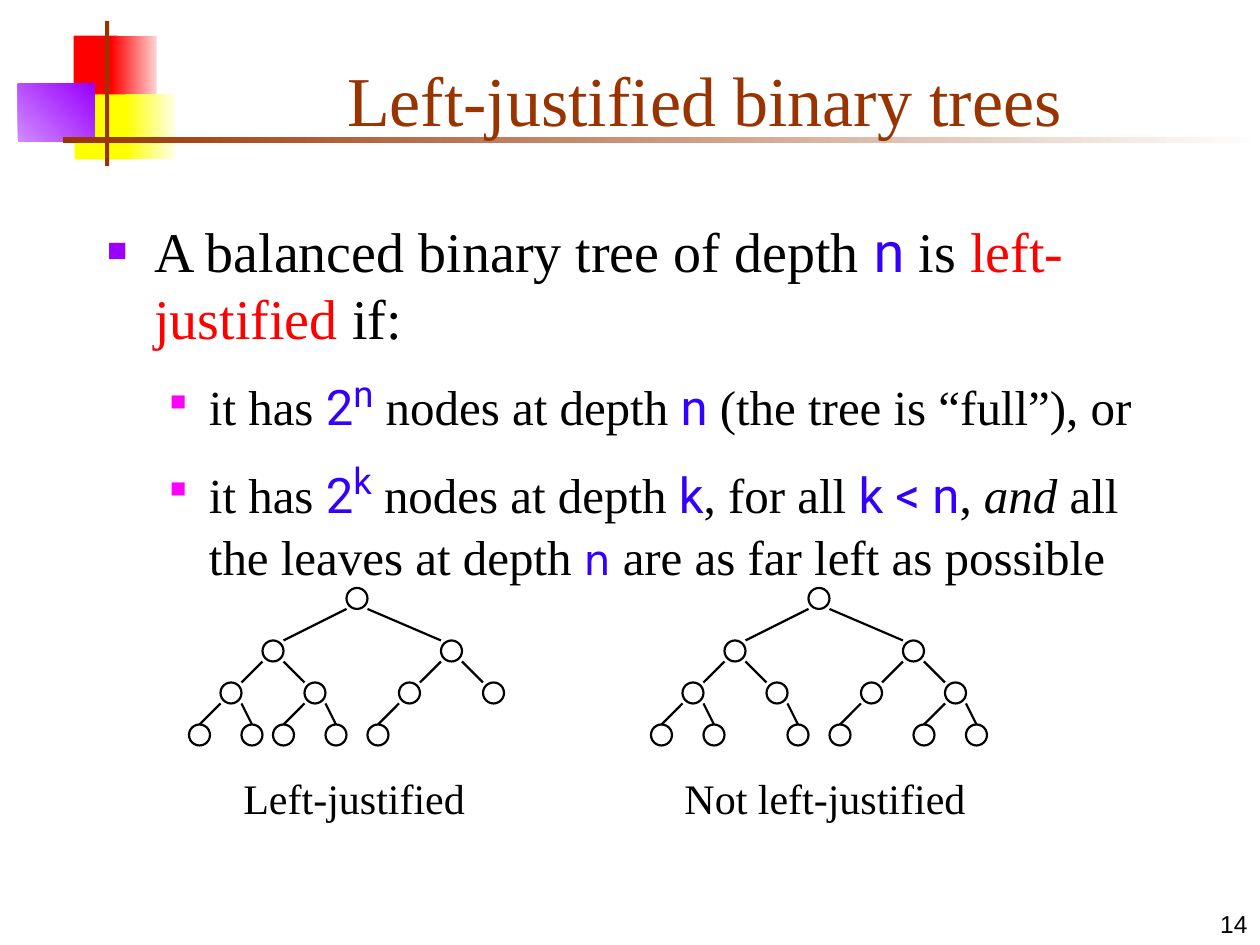
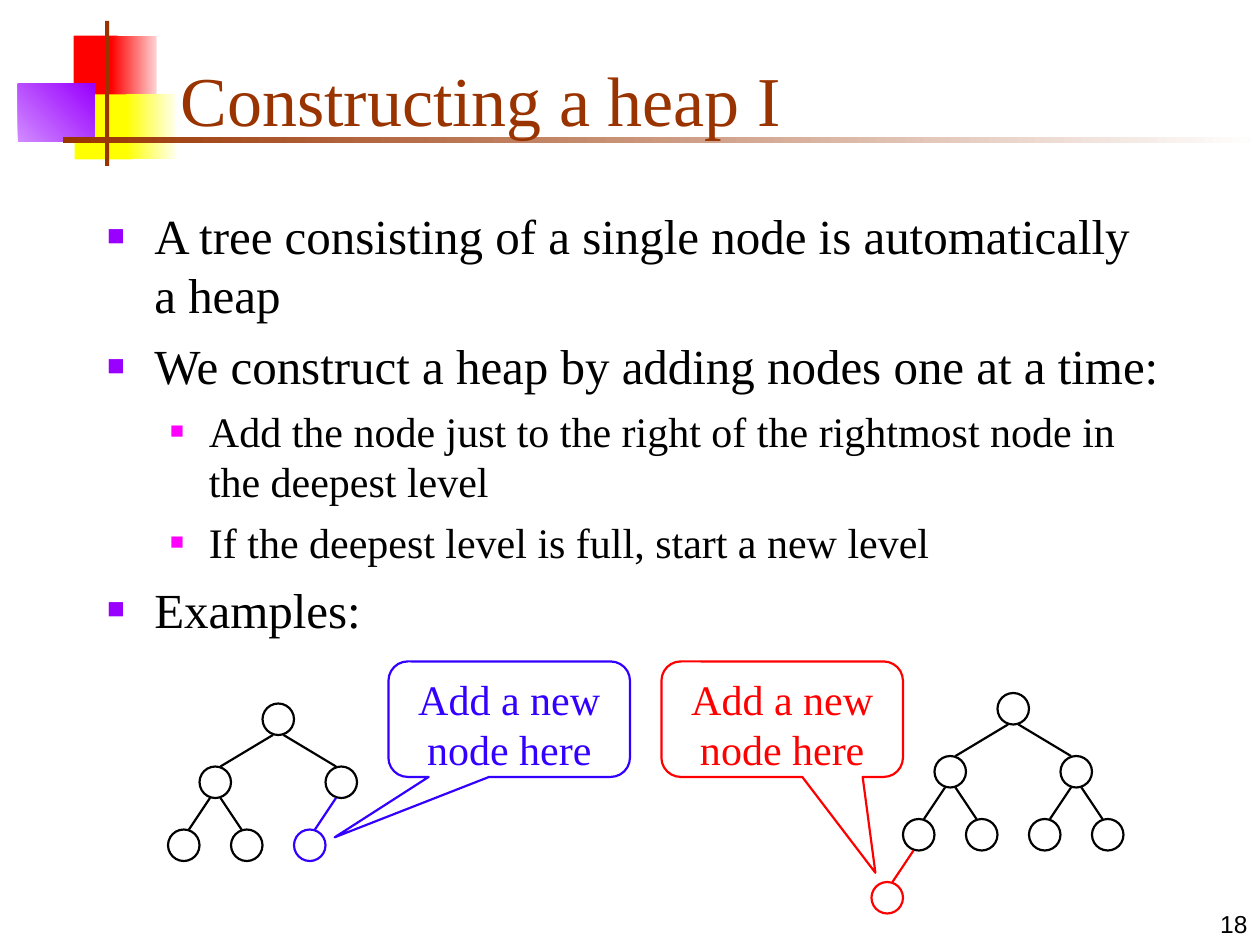
from lxml import etree
from pptx import Presentation
from pptx.dml.color import RGBColor
from pptx.enum.shapes import MSO_CONNECTOR, MSO_SHAPE
from pptx.enum.text import MSO_ANCHOR, MSO_AUTO_SIZE, PP_ALIGN
from pptx.oxml.ns import qn
from pptx.util import Pt

RECTANGLE = MSO_SHAPE.RECTANGLE
ELLIPSE = MSO_SHAPE.OVAL
CALLOUT = MSO_SHAPE.ROUNDED_RECTANGULAR_CALLOUT
STRAIGHT = MSO_CONNECTOR.STRAIGHT
LEFT, CENTER, RIGHT = PP_ALIGN.LEFT, PP_ALIGN.CENTER, PP_ALIGN.RIGHT
TOP, BOTTOM = MSO_ANCHOR.TOP, MSO_ANCHOR.BOTTOM
NO_AUTOFIT = MSO_AUTO_SIZE.NONE

EMU_PER_PX = 7620
SERIF = "Times New Roman"
BLACK, BROWN, BLUE, RED = "000000", "993300", "3300FF", "FF0000"
PURPLE, MAGENTA, YELLOW = "9900FF", "FF00FF", "FFFF00"
LINE_WIDTH = 1.25

CODE = {"font": "Roboto", "color": BLUE}
POWER = {**CODE, "size": 36, "baseline": 30000}

BULLETS = [
    {"color": PURPLE, "percent": 60, "margin": 45, "hanging": 45},
    {"color": MAGENTA, "percent": 55, "margin": 97, "hanging": 37},
]

DECORATIONS = [
    ((70, 34, 42, 62), [RED], 0),
    ((106, 34, 43, 62), [RED, "FFD1D1"], 0),
    ((71, 90, 55, 62), [YELLOW], 0),
    ((120, 90, 48, 62), [YELLOW, "FFFFF0"], 0),
    ((17, 80, 73, 55), ["D18BFF", PURPLE], 45),
    ((100, 20, 4, 138), [BROWN], 0),
    ((60, 130, 1140, 6), [BROWN, "FFFFFF"], 0),
]

# Each level holds the left step, right step, drop, parent inset and child inset.
SMALL_TREE = {"size": 20, "levels": [(-80, 90, 50, 0, 0), (-40, 40, 40, 0, 0), (-30, 20, 40, 0, 10)]}
LARGE_TREE = {"size": 30, "levels": [(-60, 60, 60, 10, 10), (-30, 30, 60, 10, 10), (-30, 30, 60, 10, 10)]}
LARGE_TREE["levels"] = [(left, right, drop, inset, inset) for left, right, drop, inset, _ in LARGE_TREE["levels"]]
TWO_FULL_LEVELS = ["", "L", "R", "LL", "LR", "RL", "RR"]


def px(*lengths):
    """Turn px lengths into EMU."""
    return [length * EMU_PER_PX for length in lengths]


def rgb(color):
    """Turn a hex string into a colour."""
    return RGBColor.from_string(color)


def add_text(paragraph, text, size=24, font=SERIF, color=BLACK, italic=False, baseline=None):
    """Add one formatted run to a paragraph."""
    run = paragraph.add_run()
    run.text = text
    run.font.size = Pt(size)
    run.font.name = font
    run.font.italic = italic
    run.font.color.rgb = rgb(color)
    if baseline:
        run.font._element.set("baseline", str(baseline))


def fill_frame(shape, text, align=LEFT, anchor=TOP, **text_format):
    """Write a single paragraph into a shape."""
    frame = shape.text_frame
    frame.word_wrap = True
    frame.auto_size = NO_AUTOFIT
    frame.vertical_anchor = anchor
    paragraph = frame.paragraphs[0]
    paragraph.alignment = align
    add_text(paragraph, text, **text_format)


def add_text_box(shapes, box, text, **text_format):
    """Add a text box with one paragraph."""
    fill_frame(shapes.add_textbox(*px(*box)), text, **text_format)


def place(shape, box):
    """Move and size a placeholder."""
    shape.left, shape.top, shape.width, shape.height = px(*box)


def add_outline(shapes, kind, box, color):
    """Add an unfilled preset shape."""
    shape = shapes.add_shape(kind, *px(*box))
    shape.shadow.inherit = False
    shape.fill.background()
    shape.line.color.rgb = rgb(color)
    shape.line.width = Pt(LINE_WIDTH)
    return shape


def add_line(shapes, start, end, color):
    """Add a straight line without a shadow."""
    line = shapes.add_connector(STRAIGHT, *px(*start, *end))
    line.line.color.rgb = rgb(color)
    line.line.width = Pt(LINE_WIDTH)
    etree.SubElement(line._element.spPr, qn("a:effectLst"))


def add_callout(shapes, left, adjustments, color):
    """Add a speech bubble that points at a new node."""
    callout = add_outline(shapes, CALLOUT, (left, 630, 230, 110), color)
    for index, value in enumerate(adjustments):
        callout.adjustments[index] = value
    fill_frame(callout, "Add a new node here", align=CENTER, color=color)


def add_tree(shapes, root, paths, style, new_node_color=BLACK, new_node=None):
    """Draw a binary tree whose nodes are named by their L and R turns."""
    size = style["size"]
    for path in paths:
        color = new_node_color if path == new_node else BLACK
        x, y = root
        for turn, (left, right, drop, parent_inset, child_inset) in zip(path, style["levels"]):
            parent_x, parent_y = x, y
            x += left if turn == "L" else right
            y += drop
        add_outline(shapes, ELLIPSE, (x, y, size, size), color)
        if path:
            if path[-1] == "L":
                start_x, end_x = parent_x + parent_inset, x + size - child_inset
            else:
                start_x, end_x = parent_x + size - parent_inset, x + child_inset
            add_line(shapes, (start_x, parent_y + size), (end_x, y), color)


def add_bullet(paragraph, level, space_before):
    """Give a paragraph the square bullet of its level."""
    bullet = BULLETS[level]
    paragraph.level = level
    properties = paragraph._p.get_or_add_pPr()
    margin, hanging = px(bullet["margin"], bullet["hanging"])
    properties.set("marL", str(margin))
    properties.set("indent", str(-hanging))
    color = etree.SubElement(properties, qn("a:buClr"))
    etree.SubElement(color, qn("a:srgbClr"), val=bullet["color"])
    etree.SubElement(properties, qn("a:buSzPct"), val=str(bullet["percent"] * 1000))
    etree.SubElement(properties, qn("a:buChar"), char="■")
    paragraph.space_before = Pt(space_before)


def fill_body(body, box, items):
    """Write items of level, size, space before and runs into the body."""
    place(body, box)
    frame = body.text_frame
    frame.auto_size = NO_AUTOFIT
    for index, (level, size, space_before, runs) in enumerate(items):
        paragraph = frame.add_paragraph() if index else frame.paragraphs[0]
        add_bullet(paragraph, level, space_before if index else 0)
        for text, text_format in runs:
            add_text(paragraph, text, **{"size": size, **text_format})


def decorate_layout(layout, slide):
    """Put the coloured blocks and the title rule behind the layout."""
    for index, (box, colors, angle) in enumerate(DECORATIONS):
        shape = slide.shapes.add_shape(RECTANGLE, *px(*box))
        shape.shadow.inherit = False
        shape.line.fill.background()
        if len(colors) == 1:
            shape.fill.solid()
            shape.fill.fore_color.rgb = rgb(colors[0])
        else:
            shape.fill.gradient()
            shape.fill.gradient_angle = angle
            for stop, color in zip(shape.fill.gradient_stops, colors):
                stop.color.rgb = rgb(color)
        shape.element.nvSpPr.cNvPr.set("id", str(20 + index))
        layout.shapes.element.insert(2 + index, shape.element)


def add_slide(presentation, title, number, align):
    """Add a slide with its title and number."""
    slide = presentation.slides.add_slide(presentation.slide_layouts[1])
    place(slide.shapes.title, (160, 30, 1022, 110))
    fill_frame(slide.shapes.title, title, align=align, anchor=BOTTOM, size=40, color=BROWN)
    add_text_box(slide.shapes, (950, 840, 250, 60), number, align=RIGHT, anchor=BOTTOM, size=14, font="Arial")
    return slide


def build_left_justified(presentation):
    """Build the slide on left-justified trees."""
    slide = add_slide(presentation, "Left-justified binary trees", "14", CENTER)
    fill_body(slide.placeholders[1], (90, 200, 1050, 350), [
        (0, 32, 8, [("A balanced binary tree of depth ", {}), ("n", CODE), (" is ", {}),
                    ("left-justified", {"color": RED}), (" if:", {})]),
        (1, 28, 7, [("it has ", {}), ("2", CODE), ("n", POWER), (" nodes at depth ", {}),
                    ("n", CODE), (" (the tree is “full”), or", {})]),
        (1, 28, 7, [("it has ", {}), ("2", CODE), ("k", POWER), (" nodes at depth ", {}),
                    ("k", CODE), (", for all ", {}), ("k < n", CODE), (", ", {}),
                    ("and", {"italic": True}), (" all the leaves at depth ", {}),
                    ("n", {"size": 24, "font": "DejaVu Sans", "color": BLUE}),
                    (" are as far left as possible", {})]),
    ])
    examples = [
        (330, ["LLL", "LLR", "LRL", "LRR", "RLL"], "Left-justified", (220, 730, 250, 60)),
        (770, ["LLL", "LLR", "LRR", "RLL", "RRL", "RRR"], "Not left-justified", (640, 730, 320, 60)),
    ]
    for root_x, leaves, label, label_box in examples:
        shapes = slide.shapes.add_group_shape().shapes
        add_text_box(shapes, label_box, label)
        add_tree(shapes, (root_x, 560), TWO_FULL_LEVELS + leaves, SMALL_TREE)
    return slide


def build_heap(presentation):
    """Build the slide on adding nodes to a heap."""
    slide = add_slide(presentation, "Constructing a heap I", "18", LEFT)
    items = [
        (0, "A tree consisting of a single node is automatically a heap"),
        (0, "We construct a heap by adding nodes one at a time:"),
        (1, "Add the node just to the right of the rightmost node in the deepest level"),
        (1, "If the deepest level is full, start a new level"),
        (0, "Examples:"),
    ]
    fill_body(slide.placeholders[1], (90, 190, 1030, 460),
              [(level, 28 - 4 * level, 7 - level, [(text, {})]) for level, text in items])
    examples = [
        ((950, 660), TWO_FULL_LEVELS + ["LLL"], "LLL", RED, 630, (0.386, 1.33, 0.167)),
        ((250, 670), TWO_FULL_LEVELS[:-1], "RL", BLUE, 370, (-0.723, 1.023, 0.167)),
    ]
    for root, paths, new_node, color, callout_left, adjustments in examples:
        shapes = slide.shapes.add_group_shape().shapes
        add_tree(shapes, root, paths, LARGE_TREE, color, new_node)
        add_callout(shapes, callout_left, adjustments, color)


def main():
    """Build and save the presentation."""
    presentation = Presentation()
    presentation.slide_width, presentation.slide_height = px(1200, 900)
    first_slide = build_left_justified(presentation)
    decorate_layout(presentation.slide_layouts[1], first_slide)
    build_heap(presentation)
    presentation.save("out.pptx")


if __name__ == "__main__":
    main()
